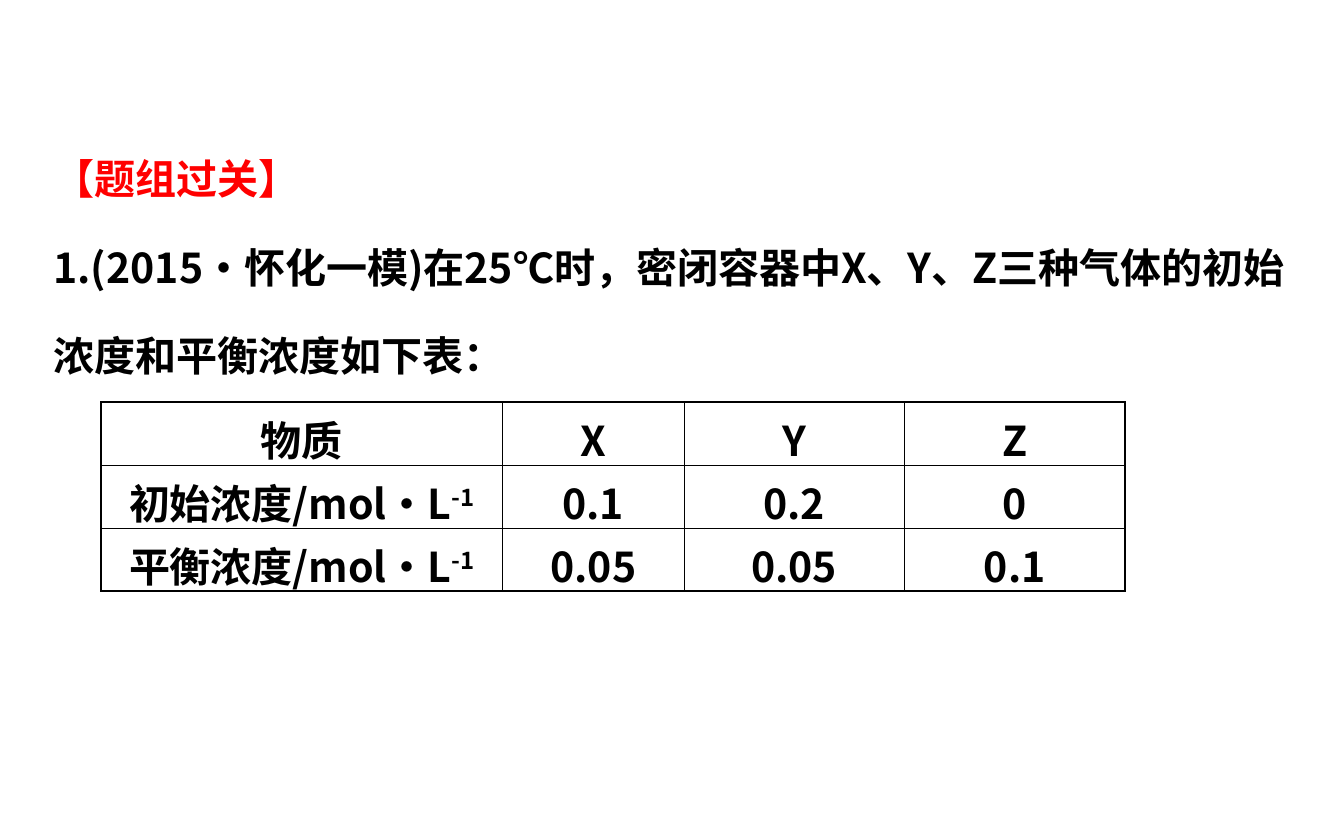
import pptx
import pptx.util
import pptx.dml.color
import pptx.enum.text
import pptx.oxml
import pptx.oxml.ns

PX = 9144
THEME = {
    "font": "Noto Sans CJK SC",
    "size": 22,
    "heading": "FF0000",
    "ink": "000000",
    "inner_line": 0.45,
    "outer_line": 0.96,
    "line_spacing": 1.8,
}
PAGE = (1000, 625)
QUESTION_BOX = (30, 80, 943, 208)
TABLE_ORIGIN = (75, 299)
COLUMN_WIDTHS = (299, 135, 164, 164)
ROW_HEIGHT = 47

QUESTION = [
    ("【题组过关】", THEME["heading"]),
    ("1.(2015·怀化一模)在25℃时，密闭容器中X、Y、Z三种气体的初始浓度和平衡浓度如下表：", THEME["ink"]),
]
CONCENTRATIONS = [
    [("物质",), ("X",), ("Y",), ("Z",)],
    [("初始浓度/mol·L", "-1"), ("0.1",), ("0.2",), ("0",)],
    [("平衡浓度/mol·L", "-1"), ("0.05",), ("0.05",), ("0.1",)],
]


def emu(lengths):
    return [pptx.util.Emu(length * PX) for length in lengths]


def apply(target, values):
    for name, value in values.items():
        setattr(target, name, value)


def add_span(para, text, color, superscript=False):
    span = para.add_run()
    span.text = text
    apply(span.font, {"name": THEME["font"], "size": pptx.util.Pt(THEME["size"]), "bold": True})
    span.font.color.rgb = pptx.dml.color.RGBColor.from_string(color)
    properties = span.font._element
    east_asian = pptx.oxml.parse_xml(
        f'<a:ea {pptx.oxml.ns.nsdecls("a")} typeface="{THEME["font"]}"/>')
    properties.find(pptx.oxml.ns.qn("a:latin")).addnext(east_asian)
    if superscript:
        properties.set("baseline", "30000")


def set_borders(cell, outer_sides):
    properties = cell._tc.get_or_add_tcPr()
    for index, side in enumerate("LRTB"):
        weight = THEME["outer_line" if side in outer_sides else "inner_line"]
        border = pptx.oxml.parse_xml(
            f'<a:ln{side} {pptx.oxml.ns.nsdecls("a")} w="{pptx.util.Pt(weight)}">'
            f'<a:solidFill><a:srgbClr val="{THEME["ink"]}"/></a:solidFill></a:ln{side}>')
        properties.insert(index, border)


def add_question(page):
    box = page.shapes.add_textbox(*emu(QUESTION_BOX))
    frame = box.text_frame
    apply(frame, {"word_wrap": True, "auto_size": pptx.enum.text.MSO_AUTO_SIZE.SHAPE_TO_FIT_TEXT})
    for index, (text, color) in enumerate(QUESTION):
        para = frame.add_paragraph() if index else frame.paragraphs[0]
        para.line_spacing = THEME["line_spacing"]
        add_span(para, text, color)


def add_concentrations(page):
    row_count, column_count = len(CONCENTRATIONS), len(COLUMN_WIDTHS)
    size = (sum(COLUMN_WIDTHS), ROW_HEIGHT * row_count)
    table = page.shapes.add_table(row_count, column_count, *emu(TABLE_ORIGIN + size)).table
    apply(table, {"first_row": False, "horz_banding": False})
    for column, width in zip(table.columns, emu(COLUMN_WIDTHS)):
        column.width = width
    for r, row in enumerate(CONCENTRATIONS):
        table.rows[r].height = pptx.util.Emu(ROW_HEIGHT * PX)
        for c, parts in enumerate(row):
            cell = table.cell(r, c)
            cell.vertical_anchor = pptx.enum.text.MSO_ANCHOR.MIDDLE
            cell.fill.background()
            para = cell.text_frame.paragraphs[0]
            para.alignment = pptx.enum.text.PP_ALIGN.CENTER
            for index, text in enumerate(parts):
                add_span(para, text, THEME["ink"], superscript=index > 0)
            edges = {"L": c == 0, "R": c == column_count - 1, "T": r == 0, "B": r == row_count - 1}
            set_borders(cell, [side for side, is_outer in edges.items() if is_outer])


def main():
    deck = pptx.Presentation()
    deck.slide_width, deck.slide_height = emu(PAGE)
    page = deck.slides.add_slide(deck.slide_layouts[6])
    add_question(page)
    add_concentrations(page)
    deck.save("out.pptx")


if __name__ == "__main__":
    main()
